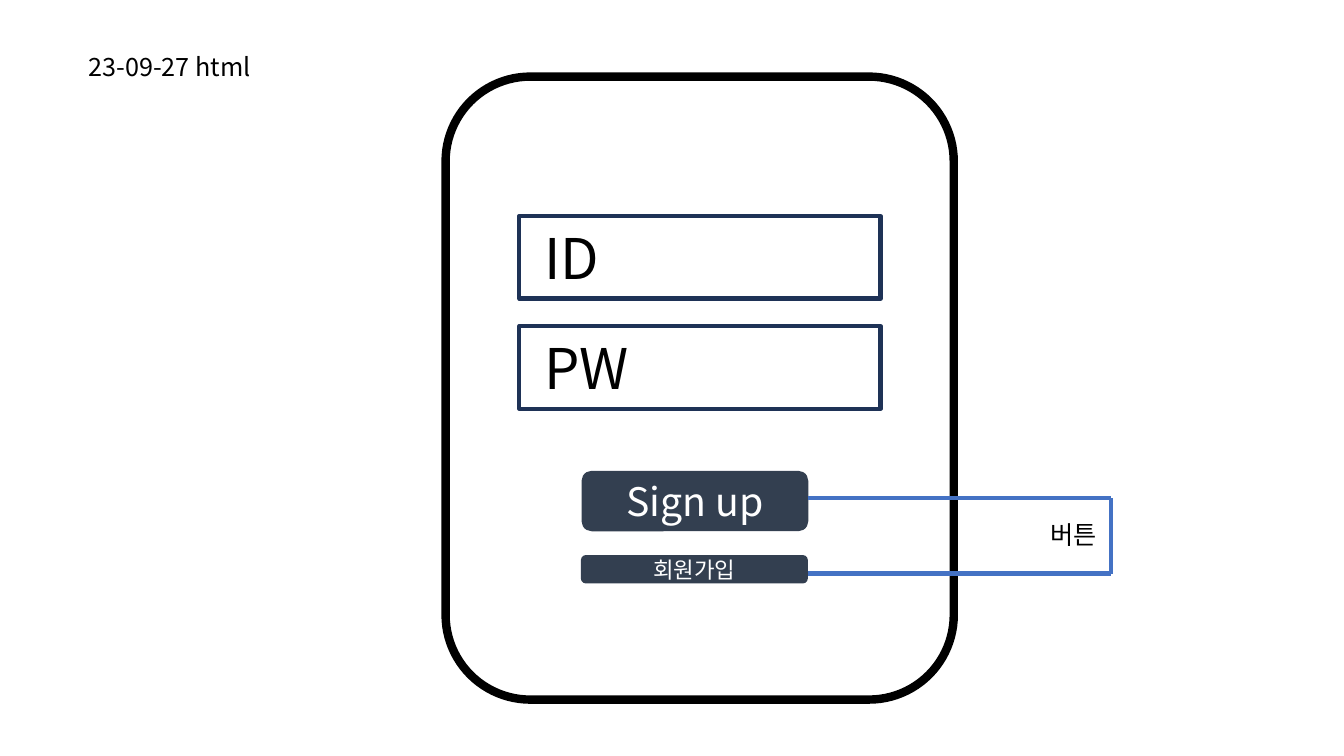
from dataclasses import dataclass

from lxml.etree import SubElement
from pptx import Presentation
from pptx.dml.color import RGBColor
from pptx.enum.shapes import MSO_CONNECTOR, MSO_SHAPE
from pptx.enum.text import MSO_ANCHOR, MSO_AUTO_SIZE, PP_ALIGN
from pptx.oxml.ns import qn
from pptx.util import Pt


@dataclass(frozen=True)
class Theme:
    font: str = "Noto Sans CJK KR"
    black: RGBColor = RGBColor.from_string("000000")
    white: RGBColor = RGBColor.from_string("FFFFFF")
    navy: RGBColor = RGBColor.from_string("1E3256")
    slate: RGBColor = RGBColor.from_string("333F50")
    blue: RGBColor = RGBColor.from_string("4472C4")
    field_size: int = 40
    sign_up_size: int = 28
    note_size: int = 18
    join_size: int = 16


theme = Theme()


def write_text(shape, text, size, color, **frame_format):
    """Write one run in the theme font, East Asian letters included."""
    frame = shape.text_frame
    for name, value in frame_format.items():
        setattr(frame, name, value)
    paragraph = frame.paragraphs[0]
    run = paragraph.add_run()
    run.text = text
    run.font.size = Pt(size)
    run.font.color.rgb = color
    run.font.name = theme.font
    SubElement(run._r.get_or_add_rPr(), qn("a:ea"), typeface=theme.font)
    return paragraph


def add_box(kind, bounds, fill=None, line=None, line_width=0):
    shape = slide.shapes.add_shape(kind, *map(Pt, bounds))
    shape.shadow.inherit = False
    if fill is None:
        shape.fill.background()
    else:
        shape.fill.solid()
        shape.fill.fore_color.rgb = fill
    if line is None:
        shape.line.fill.background()
    else:
        shape.line.color.rgb = line
        shape.line.width = Pt(line_width)
    return shape


presentation = Presentation()
presentation.slide_width, presentation.slide_height = Pt(960), Pt(540)
slide = presentation.slides.add_slide(presentation.slide_layouts[5])

# Heading
title = slide.shapes.title
title.left, title.top, title.width, title.height = map(Pt, (56, 33, 212, 29))
heading = write_text(title, "23-09-27 html", theme.note_size, theme.black,
                     vertical_anchor=MSO_ANCHOR.TOP, word_wrap=True,
                     auto_size=MSO_AUTO_SIZE.NONE)
heading.alignment = PP_ALIGN.LEFT

# Phone frame
add_box(MSO_SHAPE.ROUNDED_RECTANGLE, (318.3, 54.7, 363, 445),
        theme.white, theme.black, 6)

# Input fields
for row, label in enumerate(("ID", "PW")):
    field = add_box(MSO_SHAPE.RECTANGLE, (371, 154.3 + row * 78.7, 258, 59),
                    line=theme.navy, line_width=3)
    paragraph = write_text(field, label, theme.field_size, theme.black,
                           vertical_anchor=MSO_ANCHOR.MIDDLE,
                           margin_left=Pt(18))
    paragraph.alignment = PP_ALIGN.LEFT

# Buttons
for label, size, left, top, height in (
    ("Sign up", theme.sign_up_size, 415.4, 336.3, 43.2),
    ("회원가입", theme.join_size, 415, 396.5, 20.2),
):
    button = add_box(MSO_SHAPE.ROUNDED_RECTANGLE, (left, top, 162, height),
                     theme.slate)
    paragraph = write_text(button, label, size, theme.white,
                           vertical_anchor=MSO_ANCHOR.MIDDLE)
    paragraph.alignment = PP_ALIGN.CENTER

# Bracket joining both buttons to their note
button_edge, bracket_edge = 577.4, 793.8
upper, lower = 355.7, 409.7
for ends in (
    (button_edge, upper, bracket_edge, upper),
    (button_edge, lower, bracket_edge, lower),
    (bracket_edge, lower, bracket_edge, upper),
):
    connector = slide.shapes.add_connector(MSO_CONNECTOR.STRAIGHT,
                                           *map(Pt, ends))
    connector.line.color.rgb = theme.blue
    connector.line.width = Pt(3)
    SubElement(connector._element.spPr, qn("a:effectLst"))

note = slide.shapes.add_textbox(Pt(743), Pt(367.2), Pt(51), Pt(29))
write_text(note, "버튼", theme.note_size, theme.black, word_wrap=False,
           auto_size=MSO_AUTO_SIZE.SHAPE_TO_FIT_TEXT)

presentation.save("out.pptx")
